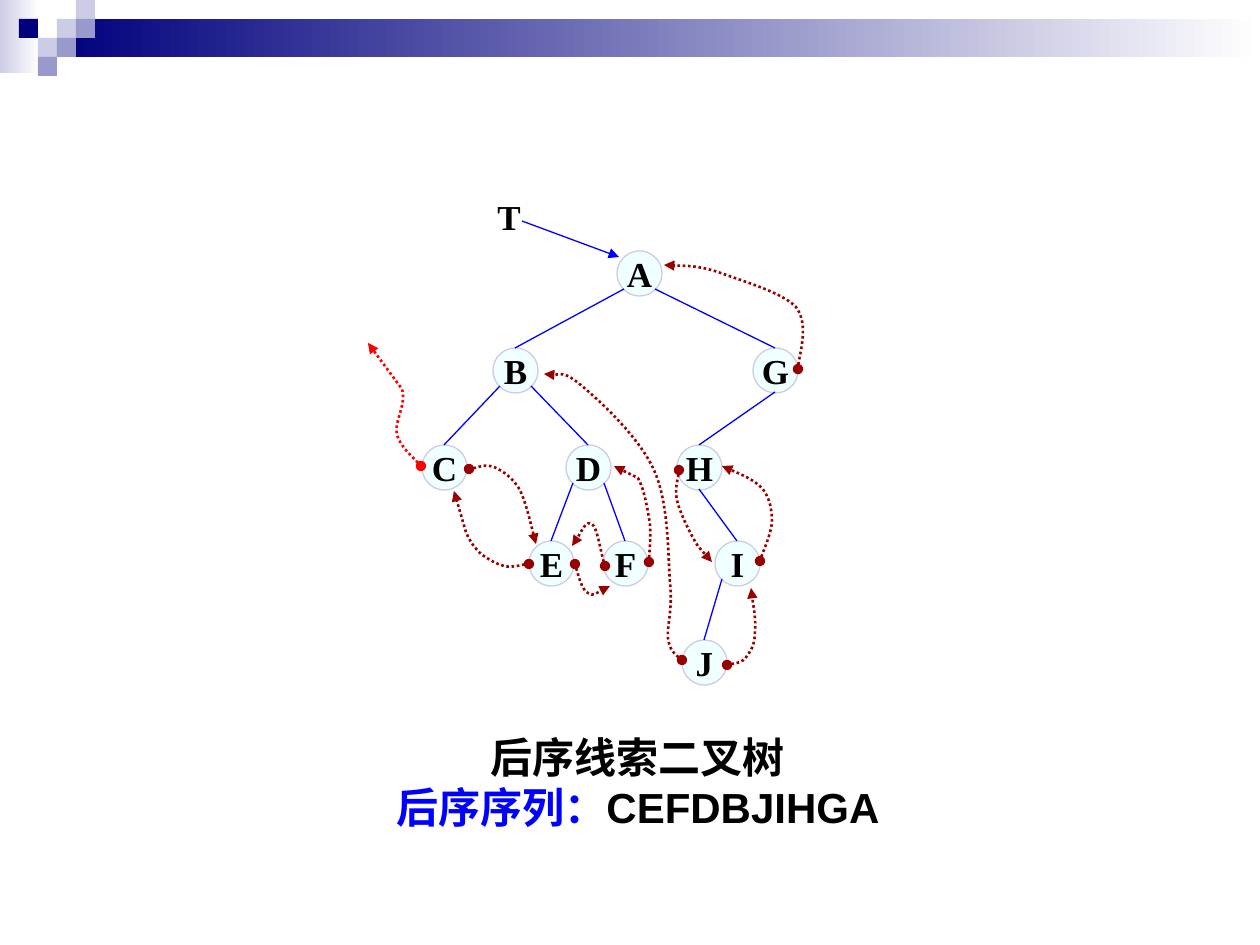
from lxml import etree
from pptx import Presentation
from pptx.dml.color import RGBColor
from pptx.enum.dml import MSO_LINE_DASH_STYLE as Dash
from pptx.enum.shapes import MSO_CONNECTOR as Connector, MSO_SHAPE as Shape
from pptx.enum.text import MSO_ANCHOR as Anchor, MSO_AUTO_SIZE as AutoSize, PP_ALIGN as Align
from pptx.oxml.ns import qn
from pptx.util import Pt

PX = 914400 / 126
NODE = 45
CELL = 19
NAVY, LILAC, MID, WHITE = "00007D", "CCCCE6", "9999CC", "FFFFFF"
AZURE, BLUE, RED, MAROON, BLACK = "F0FFFF", "0000FF", "FF0000", "990000", "000000"


def emu(px):
    return round(px * PX)


def rgb(color):
    return RGBColor.from_string(color)


class TreeSlide:
    """Holds the current slide and the style of its elements."""
    letter_font, caption_font = "Times New Roman", "Arial"

    def __init__(self, prs):
        self.shapes = prs.slides.add_slide(prs.slide_layouts[6]).shapes

    def shape(self, kind, x, y, w, h, fill):
        shape = self.shapes.add_shape(kind, emu(x), emu(y), emu(w), emu(h))
        shape.shadow.inherit = False
        shape.line.fill.background()
        shape.fill.solid()
        shape.fill.fore_color.rgb = rgb(fill)
        return shape

    def fading_bar(self, x, y, w, h, start):
        fill = self.shape(Shape.RECTANGLE, x, y, w, h, start).fill
        fill.gradient()
        fill.gradient_angle = 0
        for stop, color, position in zip(fill.gradient_stops, (start, WHITE), (0, 1)):
            stop.color.rgb = rgb(color)
            stop.position = position

    def fill_paragraph(self, paragraph, runs, size, font, align):
        paragraph.alignment = align
        for text, color in runs:
            run = paragraph.add_run()
            run.text = text
            run.font.color.rgb = rgb(color)
        paragraph.font.size = Pt(size)
        paragraph.font.name = font
        paragraph.font.bold = True

    def node(self, letter, x, y):
        circle = self.shape(Shape.OVAL, x, y, NODE, NODE, AZURE)
        self.stroke(circle.line, LILAC, 0.75)
        frame = circle.text_frame
        frame.margin_left = frame.margin_right = frame.margin_top = frame.margin_bottom = 0
        frame.vertical_anchor = Anchor.MIDDLE
        self.fill_paragraph(frame.paragraphs[0], [(letter, BLACK)], 20, self.letter_font,
                            Align.CENTER)

    def text(self, x, y, w, h, lines, size, font, align):
        frame = self.shapes.add_textbox(emu(x), emu(y), emu(w), emu(h)).text_frame
        frame.word_wrap = False
        frame.auto_size = AutoSize.NONE
        for i, runs in enumerate(lines):
            paragraph = frame.add_paragraph() if i else frame.paragraphs[0]
            self.fill_paragraph(paragraph, runs, size, font, align)

    def stroke(self, line, color, width, head=None, tail=None):
        line.color.rgb = rgb(color)
        line.width = Pt(width)
        if head or tail:
            line.dash_style = Dash.ROUND_DOT if head else Dash.SOLID
        for end, kind in (("a:headEnd", head), ("a:tailEnd", tail)):
            if kind:
                etree.SubElement(line._get_or_add_ln(), qn(end), type=kind)

    def edge(self, start, end, tail=None):
        points = [emu(v) for v in (*start, *end)]
        edge = self.shapes.add_connector(Connector.STRAIGHT, *points)
        self.stroke(edge.line, BLUE, 0.75, tail=tail)
        etree.SubElement(edge._element.spPr, qn("a:effectLst"))

    def thread(self, color, start, *segments):
        """Draw a dotted thread; six numbers make a Bezier segment, two a straight one."""
        points = [list(zip(s[::2], s[1::2])) for s in segments]
        builder = self.shapes.build_freeform(*start, scale=PX)
        builder.add_line_segments(sum(points, []), close=False)
        curve = builder.convert_to_shape()
        curve.shadow.inherit = False
        curve.fill.background()
        steps = iter(list(curve._element.iter(qn("a:lnTo"))))
        for segment in points:
            parts = [next(steps) for _ in segment]
            if len(parts) == 3:
                bezier = etree.Element(qn("a:cubicBezTo"))
                parts[0].addprevious(bezier)
                for part in parts:
                    bezier.append(part[0])
                    part.getparent().remove(part)
        self.stroke(curve.line, color, 1.5, "oval", "triangle")


NODES = {"A": (617, 251), "B": (493, 348), "G": (753, 348), "C": (422, 445), "D": (566, 445),
         "H": (677, 445), "E": (529, 541), "F": (603, 541), "I": (715, 541), "J": (682, 640)}
LEFT, RIGHT, BOTTOM = (7, 38), (38, 38), (22, 44)
EDGES = [("A", "B", LEFT), ("A", "G", RIGHT), ("B", "C", LEFT), ("B", "D", RIGHT),
         ("G", "H", BOTTOM), ("D", "E", LEFT), ("D", "F", RIGHT), ("H", "I", BOTTOM),
         ("I", "J", LEFT)]
THREADS = [
    (RED, (421, 466), (417, 461, 401, 447, 397, 435), (394, 422, 407, 404, 402, 389), (368, 343)),
    (MAROON, (469, 469), (473, 469, 485, 464, 494, 467), (503, 471, 513, 478, 520, 490),
     (526, 503, 533, 533, 536, 544)),
    (MAROON, (529, 564), (524, 564, 512, 568, 504, 566), (496, 564, 488, 559, 481, 554),
     (475, 548, 470, 542, 466, 532), (454, 491)),
    (MAROON, (575, 564), (577, 570, 582, 590, 588, 593), (593, 597, 606, 587, 610, 586)),
    (MAROON, (605, 566), (602, 559, 597, 527, 592, 524), (586, 520, 576, 542, 572, 546)),
    (MAROON, (649, 562), (649, 556, 651, 538, 650, 524), (648, 510, 644, 488, 638, 478),
     (614, 466)),
    (MAROON, (679, 470), (679, 476, 674, 491, 678, 504), (682, 517, 692, 537, 698, 546),
     (712, 562)),
    (MAROON, (760, 561), (762, 554, 771, 534, 772, 522), (772, 510, 770, 498, 762, 488),
     (753, 479, 731, 470, 722, 466)),
    (MAROON, (682, 660), (679, 658, 670, 651, 668, 638), (667, 625, 673, 610, 670, 582),
     (668, 554, 669, 503, 654, 470), (639, 437, 601, 402, 582, 386),
     (563, 370, 552, 377, 544, 374)),
    (MAROON, (727, 665), (731, 664, 743, 663, 747, 656), (752, 650, 755, 643, 755, 631),
     (756, 620, 752, 597, 751, 588)),
    (MAROON, (798, 369), (798, 359, 809, 324, 796, 307), (782, 292, 739, 280, 718, 272),
     (696, 265, 675, 266, 664, 265)),
]
# Column, row and colour of each square in the corner pattern
SQUARES = [(3, 1, LILAC), (4, 0, LILAC), (4, 1, MID), (2, 2, LILAC), (1, 1, NAVY),
           (3, 2, MID), (2, 3, MID)]


def main():
    prs = Presentation()
    prs.slide_width, prs.slide_height = emu(1260), emu(945)
    slide = TreeSlide(prs)

    slide.fading_bar(0, 0, 39, 73, LILAC)
    slide.fading_bar(57, 19, 1203, 38, NAVY)
    for column, row, color in SQUARES:
        slide.shape(Shape.RECTANGLE, column * CELL, row * CELL, CELL, CELL, color)

    for letter, corner in NODES.items():
        slide.node(letter, *corner)
    for parent, child, (dx, dy) in EDGES:
        (px, py), (cx, cy) = NODES[parent], NODES[child]
        slide.edge((px + dx, py + dy), (cx + NODE // 2, cy))
    slide.text(485, 189, 58, 55, [[("T", BLACK)]], 20, slide.letter_font, Align.LEFT)
    slide.edge((522, 221), (619, 257), tail="triangle")
    for thread in THREADS:
        slide.thread(*thread)

    caption = [[("后序线索二叉树", BLACK)], [("后序序列：", BLUE), ("CEFDBJIHGA", BLACK)]]
    slide.text(379, 725, 518, 113, caption, 24, slide.caption_font, Align.CENTER)
    prs.save("out.pptx")


if __name__ == "__main__":
    main()
